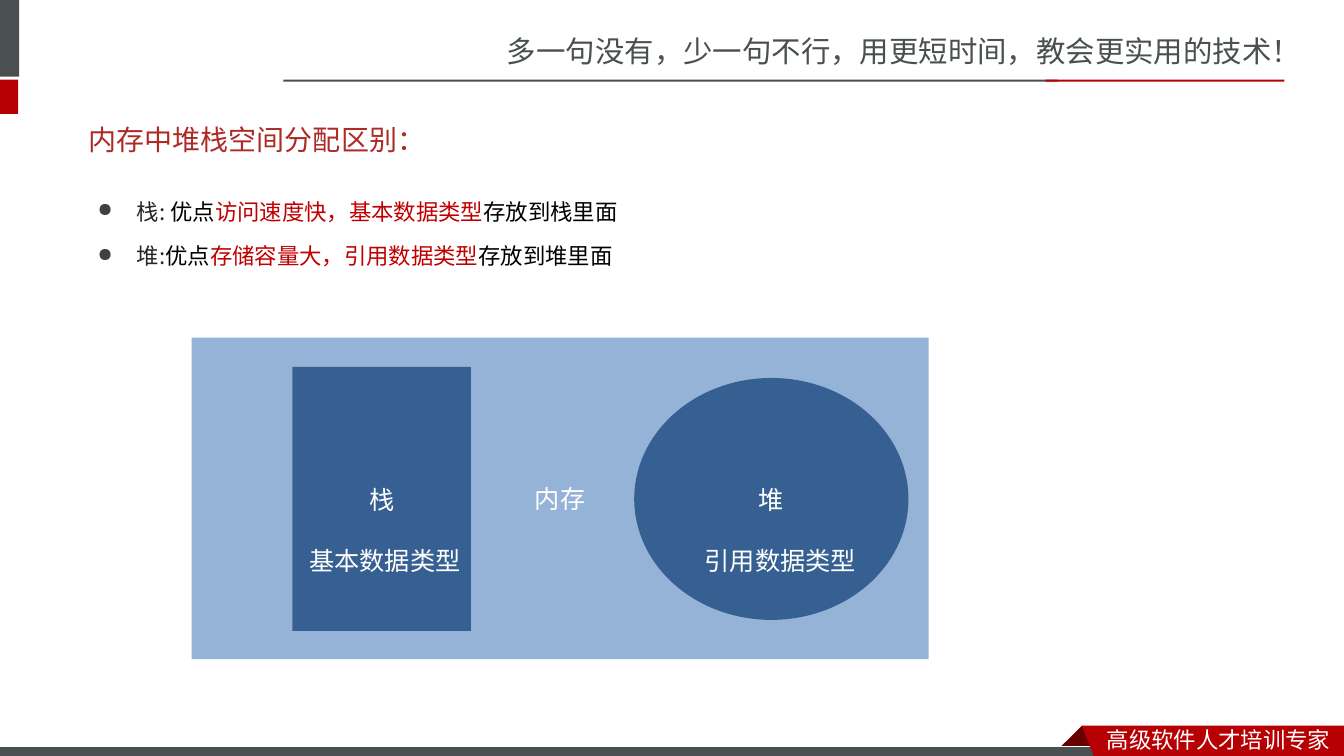
from dataclasses import dataclass

from lxml.etree import SubElement
from pptx import Presentation
from pptx.dml.color import RGBColor
from pptx.enum.shapes import MSO_SHAPE as Shape
from pptx.enum.text import MSO_ANCHOR as Anchor, PP_ALIGN as Align
from pptx.oxml.ns import qn
from pptx.util import Inches, Pt


@dataclass(frozen=True)
class Theme:
    slate: str = "49504F"
    red: str = "B60004"
    fold: str = "680000"
    title: str = "AD2A26"
    term: str = "262626"
    bullet: str = "404040"
    accent: str = "C00000"
    black: str = "000000"
    white: str = "FFFFFF"
    memory: str = "95B3D7"
    region: str = "376092"
    sans_sc: str = "Noto Sans CJK SC"
    sans_jp: str = "Noto Sans CJK JP"
    latin: str = "Calibri"
    motto_size: float = 21
    title_size: float = 20
    label_size: float = 18
    body_size: float = 16


THEME = Theme()


def rgb(colour):
    return RGBColor.from_string(colour)


def style(paragraph, size, colour=None, latin=THEME.sans_jp, east_asian=THEME.sans_jp):
    font = paragraph.font
    font.size = Pt(size)
    font.name = latin
    if colour:
        font.color.rgb = rgb(colour)
    defaults = paragraph._p.pPr.find(qn("a:defRPr"))
    SubElement(defaults, qn("a:ea"), typeface=east_asian)


def paint(shape, fill, line=None):
    shape.shadow.inherit = False
    shape.fill.solid()
    shape.fill.fore_color.rgb = rgb(fill)
    if line:
        shape.line.color.rgb = rgb(line)
        shape.line.width = Pt(0.75)
    else:
        shape.line.fill.background()


def add_block(slide, box, fill, label=None, kind=Shape.RECTANGLE, line=None):
    block = slide.shapes.add_shape(kind, *map(Inches, box))
    paint(block, fill, line)
    if label:
        block.text_frame.vertical_anchor = Anchor.MIDDLE
        paragraph = block.text_frame.paragraphs[0]
        paragraph.text = label
        paragraph.alignment = Align.CENTER
        style(paragraph, THEME.label_size, THEME.white, THEME.latin, THEME.sans_sc)


def add_outline(slide, points, fill):
    start, *rest = [(Inches(x), Inches(y)) for x, y in points]
    builder = slide.shapes.build_freeform(*start)
    builder.add_line_segments(rest, close=True)
    paint(builder.convert_to_shape(), fill)


def add_frame(slide, box, anchor=Anchor.TOP):
    frame = slide.shapes.add_textbox(*map(Inches, box)).text_frame
    frame.word_wrap = True
    frame.vertical_anchor = anchor
    return frame


def add_text(slide, box, text, size, colour, face=THEME.sans_jp, anchor=Anchor.TOP):
    paragraph = add_frame(slide, box, anchor).paragraphs[0]
    paragraph.text = text
    style(paragraph, size, colour, face, face)


def set_bullet(paragraph):
    properties = paragraph._p.get_or_add_pPr()
    indent = Inches(0.39)
    properties.set("marL", str(indent))
    properties.set("indent", str(-indent))
    colour = SubElement(properties, qn("a:buClr"))
    SubElement(colour, qn("a:srgbClr"), val=THEME.bullet)
    SubElement(properties, qn("a:buSzPct"), val="85000")
    SubElement(properties, qn("a:buChar"), char="●")


def add_bullets(slide, box, items):
    """Each item is a term, its advantage and where the data is stored."""
    frame = add_frame(slide, box)
    for index, (term, advantage, place) in enumerate(items):
        paragraph = frame.add_paragraph() if index else frame.paragraphs[0]
        set_bullet(paragraph)
        paragraph.line_spacing = 1.5
        paragraph.space_before = Pt(0.2 * THEME.body_size)
        style(paragraph, THEME.body_size)
        for text, colour in (
            (term, THEME.term),
            ("优点", THEME.black),
            (advantage, THEME.accent),
            (place, THEME.black),
        ):
            run = paragraph.add_run()
            run.text = text
            run.font.color.rgb = rgb(colour)


def add_header(slide):
    add_text(slide, (4.93, 0.28, 8.41, 0.47),
             "多一句没有，少一句不行，用更短时间，教会更实用的技术！",
             THEME.motto_size, THEME.slate, THEME.sans_sc)
    add_block(slide, (-0.06, 0, 0.25, 0.76), THEME.slate)
    add_block(slide, (-0.06, 0.79, 0.24, 0.34), THEME.red)
    add_block(slide, (2.81, 0.79, 7.68, 0.02), THEME.slate)
    add_block(slide, (10.37, 0.79, 2.37, 0.02), THEME.red)


def add_footer(slide):
    add_outline(slide, [(10.73, 7.2), (10.95, 7.42), (10.94, 7.43),
                        (10.52, 7.43), (10.51, 7.42)], THEME.fold)
    add_block(slide, (-0.01, 7.41, 11, 0.12), THEME.slate, line=THEME.white)
    add_outline(slide, [(10.73, 7.2), (13.33, 7.2), (13.33, 7.54),
                        (10.86, 7.53)], THEME.red)
    add_text(slide, (10.88, 7.15, 2.45, 0.37), "高级软件人才培训专家",
             THEME.body_size, THEME.white, THEME.sans_sc)


def add_memory_diagram(slide):
    add_block(slide, (1.9, 3.35, 7.31, 3.19), THEME.memory, "内存")
    add_block(slide, (2.9, 3.64, 1.77, 2.62), THEME.region, "栈")
    add_block(slide, (6.29, 3.75, 2.72, 2.4), THEME.region, "堆", Shape.OVAL)
    for left, data_kind in ((2.97, "基本数据类型"), (6.89, "引用数据类型")):
        add_text(slide, (left, 5.36, 1.7, 0.4), data_kind,
                 THEME.label_size, THEME.white)


def main():
    deck = Presentation()
    deck.slide_width, deck.slide_height = Inches(13.33), Inches(7.5)
    slide = deck.slides.add_slide(deck.slide_layouts[6])
    add_header(slide)
    add_footer(slide)
    add_text(slide, (0.78, 1.1, 11.72, 0.57), "内存中堆栈空间分配区别：",
             THEME.title_size, THEME.title, anchor=Anchor.MIDDLE)
    add_bullets(slide, (0.87, 1.78, 11.72, 4.98), [
        ("栈: ", "访问速度快，基本数据类型", "存放到栈里面"),
        ("堆:", "存储容量大，引用数据类型", "存放到堆里面"),
    ])
    add_memory_diagram(slide)
    deck.save("out.pptx")


if __name__ == "__main__":
    main()
